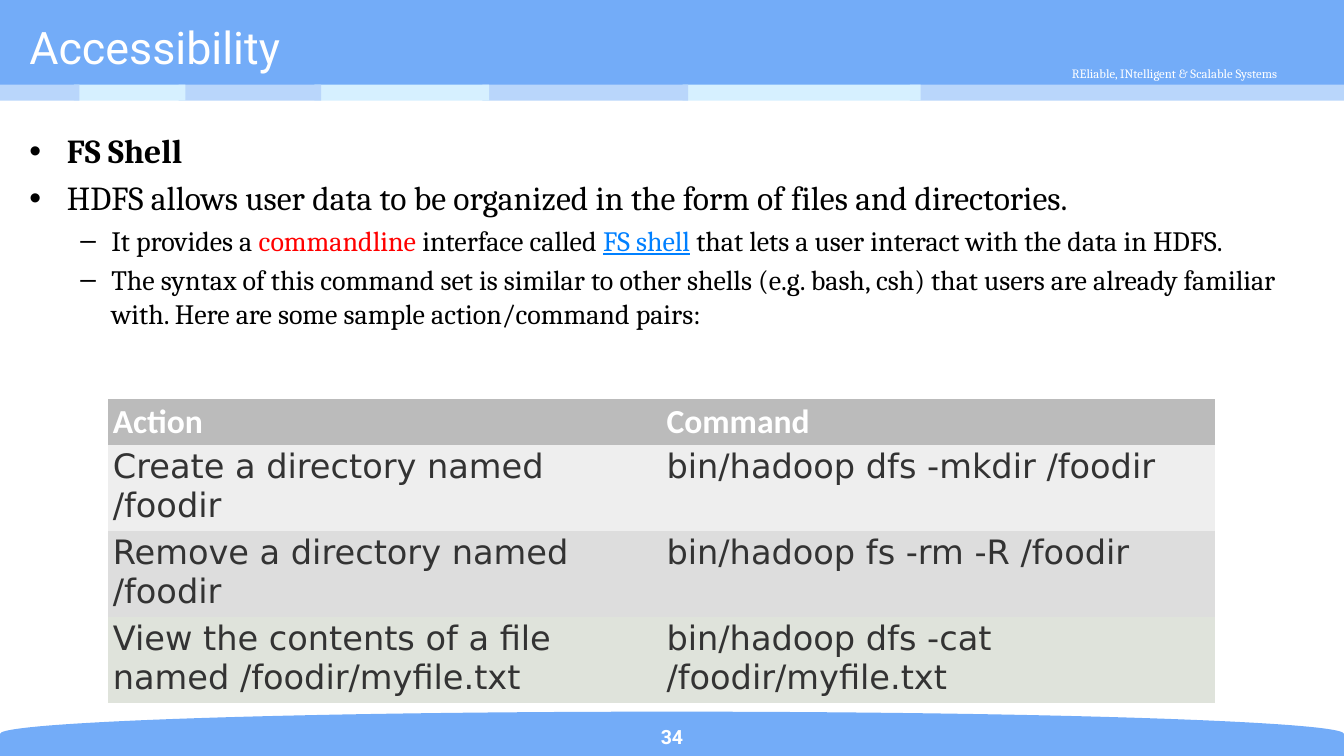
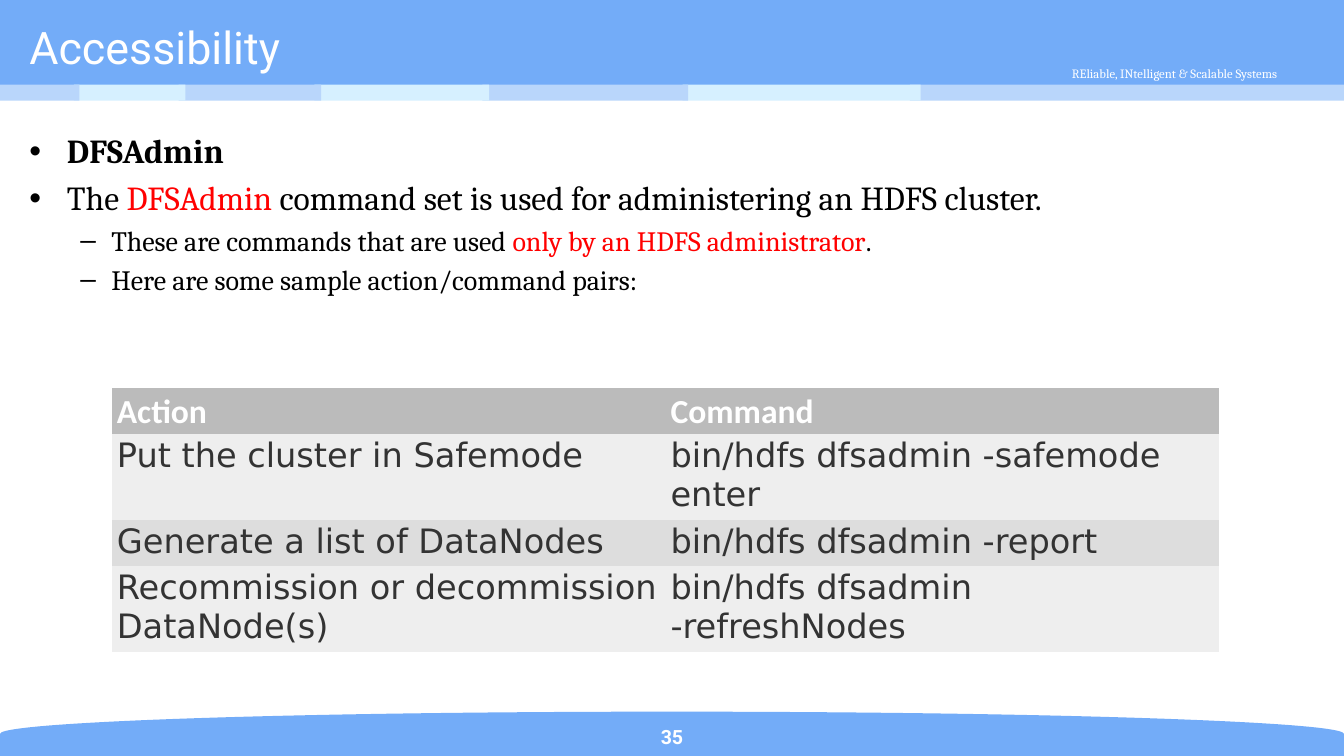
from dataclasses import dataclass
from typing import NamedTuple

import pptx
import pptx.dml.color
import pptx.enum.shapes
import pptx.enum.text
import pptx.oxml.ns
import pptx.util
from lxml import etree

# Scale: 200 px to the inch
EMU_PER_PX = 4572
SLIDE_WIDTH, SLIDE_HEIGHT = 2000, 1125

# Shared colours and fonts
BLUE, PALE_BLUE, ICE_BLUE = "73ACF8", "B9D6FB", "D6F0FF"
WHITE, BLACK, RED, LINK_BLUE = "FFFFFF", "000000", "FF0000", "0080FF"
DARK_GREY, HEADER_GREY, LIGHT_GREY, MID_GREY, SAGE = (
    "333333", "BBBBBB", "EEEEEE", "DDDDDD", "DFE3DB")
TITLE_FONT, BODY_FONT = "Roboto", "Cambria"
HEADER_FONT, CELL_FONT = "Calibri", "DejaVu Sans"

SHAPES = pptx.enum.shapes.MSO_SHAPE
ALIGN = pptx.enum.text.PP_ALIGN
ANCHOR = pptx.enum.text.MSO_ANCHOR


class Box(NamedTuple):
    left: int
    top: int
    width: int
    height: int


class Run(NamedTuple):
    text: str
    color: str = BLACK
    bold: bool = False
    underline: bool = False


class Level(NamedTuple):
    bullet: str
    margin: int
    hanging: int
    size: float


class Bullet(NamedTuple):
    level: int
    runs: list[Run]


class Row(NamedTuple):
    action: str
    command: str
    fill: str


@dataclass
class Page:
    number: int
    bullets: list[Bullet]
    table_left: int
    table_top: int
    rows: list[Row]


LEVELS = [Level("•", 56, 56, 18), Level("–", 122, 46, 15)]

# Stripe under the title band, right to left, each overlapping the next
STRIPE = [(1354, 646), (1016, 354), (718, 306), (468, 260),
          (266, 212), (110, 166), (0, 118)]

PAGES = [
    Page(
        number=34,
        bullets=[
            Bullet(0, [Run("FS Shell", bold=True)]),
            Bullet(0, [Run("HDFS allows user data to be organized in the form "
                           "of files and directories.")]),
            Bullet(1, [Run("It provides a "), Run("commandline", RED),
                       Run(" interface called "),
                       Run("FS shell", LINK_BLUE, underline=True),
                       Run(" that lets a user interact with the data in HDFS.")]),
            Bullet(1, [Run("The syntax of this command set is similar to other "
                           "shells (e.g. bash, csh) that users are already "
                           "familiar with. Here are some sample "
                           "action/command pairs:")]),
        ],
        table_left=160,
        table_top=594,
        rows=[
            Row("Create a directory named /foodir",
                "bin/hadoop dfs -mkdir /foodir", LIGHT_GREY),
            Row("Remove a directory named /foodir",
                "bin/hadoop fs -rm -R /foodir", MID_GREY),
            Row("View the contents of a file named /foodir/myfile.txt",
                "bin/hadoop dfs -cat /foodir/myfile.txt", SAGE),
        ],
    ),
    Page(
        number=35,
        bullets=[
            Bullet(0, [Run("DFSAdmin", bold=True)]),
            Bullet(0, [Run("The "), Run("DFSAdmin", RED),
                       Run(" command set is used for administering an HDFS "
                           "cluster.")]),
            Bullet(1, [Run("These are commands that are used "),
                       Run("only by an HDFS administrator", RED), Run(".")]),
            Bullet(1, [Run("Here are some sample action/command pairs:")]),
        ],
        table_left=166,
        table_top=578,
        rows=[
            Row("Put the cluster in Safemode",
                "bin/hdfs dfsadmin -safemode enter", LIGHT_GREY),
            Row("Generate a list of DataNodes",
                "bin/hdfs dfsadmin -report", MID_GREY),
            Row("Recommission or decommission DataNode(s)",
                "bin/hdfs dfsadmin -refreshNodes", LIGHT_GREY),
        ],
    ),
]


# Helpers
def px(length: int) -> pptx.util.Emu:
    return pptx.util.Emu(length * EMU_PER_PX)


def rgb(color: str) -> pptx.dml.color.RGBColor:
    return pptx.dml.color.RGBColor.from_string(color)


def add_element(parent, tag: str, **attributes: str):
    return etree.SubElement(parent, pptx.oxml.ns.qn(tag), attributes)


def write(paragraph, text: str, *, size: float, font: str, color: str,
          bold: bool = False, underline: bool = False) -> None:
    run = paragraph.add_run()
    run.text = text
    run.font.size = pptx.util.Pt(size)
    run.font.name = font
    run.font.color.rgb = rgb(color)
    run.font.bold = bold
    run.font.underline = underline


def add_block(slide, kind, box: Box, color: str, rotation: int = 0) -> None:
    shape = slide.shapes.add_shape(kind, *map(px, box))
    shape.shadow.inherit = False
    shape.fill.solid()
    shape.fill.fore_color.rgb = rgb(color)
    shape.line.fill.background()
    shape.rotation = rotation


def add_frame(slide, box: Box, anchor=ANCHOR.TOP):
    frame = slide.shapes.add_textbox(*map(px, box)).text_frame
    frame.word_wrap = True
    frame.vertical_anchor = anchor
    return frame


def add_line(slide, box: Box, text: str, *, anchor=ANCHOR.MIDDLE,
             align=ALIGN.CENTER, **style) -> None:
    paragraph = add_frame(slide, box, anchor).paragraphs[0]
    paragraph.alignment = align
    write(paragraph, text, color=WHITE, **style)


# Parts of a slide
def draw_bands(slide) -> None:
    add_block(slide, SHAPES.FLOWCHART_DELAY, Box(967, 92, 66, 2000), BLUE, 270)
    add_block(slide, SHAPES.RECTANGLE, Box(0, 0, SLIDE_WIDTH, 130), BLUE)
    add_line(slide, Box(1504, 88, 488, 42),
             "REliable, INtelligent & Scalable Systems",
             anchor=ANCHOR.TOP, size=6.8, font=BODY_FONT)
    for index, (left, width) in enumerate(STRIPE):
        color = ICE_BLUE if index % 2 else PALE_BLUE
        add_block(slide, SHAPES.RECTANGLE, Box(left, 126, width, 24), color)


def draw_bullets(slide, bullets: list[Bullet]) -> None:
    frame = add_frame(slide, Box(24, 184, 1922, 862))
    for index, bullet in enumerate(bullets):
        level = LEVELS[bullet.level]
        paragraph = frame.add_paragraph() if index else frame.paragraphs[0]
        paragraph.level = bullet.level
        if index:
            paragraph.space_before = pptx.util.Pt(level.size * 0.2)
        properties = paragraph._p.get_or_add_pPr()
        properties.set("marL", str(px(level.margin)))
        properties.set("indent", str(px(-level.hanging)))
        add_element(properties, "a:buFont", typeface="Arial")
        add_element(properties, "a:buChar", char=level.bullet)
        for run in bullet.runs:
            write(paragraph, run.text, size=level.size, font=BODY_FONT,
                  color=run.color, bold=run.bold, underline=run.underline)


def fill_cell(cell, text: str, fill: str, **style) -> None:
    cell.margin_left = cell.margin_right = px(8)
    cell.margin_top = cell.margin_bottom = px(4)
    properties = cell._tc.get_or_add_tcPr()
    for side in "LRTB":
        add_element(add_element(properties, f"a:ln{side}", w="0"), "a:noFill")
    cell.fill.solid()
    cell.fill.fore_color.rgb = rgb(fill)
    write(cell.text_frame.paragraphs[0], text, size=18, **style)


def draw_table(slide, page: Page) -> None:
    rows = [Row("Action", "Command", HEADER_GREY), *page.rows]
    box = Box(page.table_left, page.table_top, 1648, 258)
    table = slide.shapes.add_table(len(rows), 2, *map(px, box)).table
    table.horz_banding = False
    for index, row in enumerate(rows):
        if index:
            style = dict(font=CELL_FONT, color=DARK_GREY)
        else:
            style = dict(font=HEADER_FONT, color=WHITE, bold=True)
        for column, text in enumerate((row.action, row.command)):
            fill_cell(table.cell(index, column), text, row.fill, **style)


def draw_page(presentation, page: Page) -> None:
    slide = presentation.slides.add_slide(presentation.slide_layouts[6])
    draw_bands(slide)
    add_line(slide, Box(24, 24, 1492, 90), "Accessibility",
             align=ALIGN.LEFT, size=24, font=TITLE_FONT)
    draw_bullets(slide, page.bullets)
    add_line(slide, Box(890, 1070, 220, 52), str(page.number),
             size=10.5, font=TITLE_FONT, bold=True)
    draw_table(slide, page)


def main() -> None:
    presentation = pptx.Presentation()
    presentation.slide_width = px(SLIDE_WIDTH)
    presentation.slide_height = px(SLIDE_HEIGHT)
    for page in PAGES:
        draw_page(presentation, page)
    presentation.save("out.pptx")


if __name__ == "__main__":
    main()
